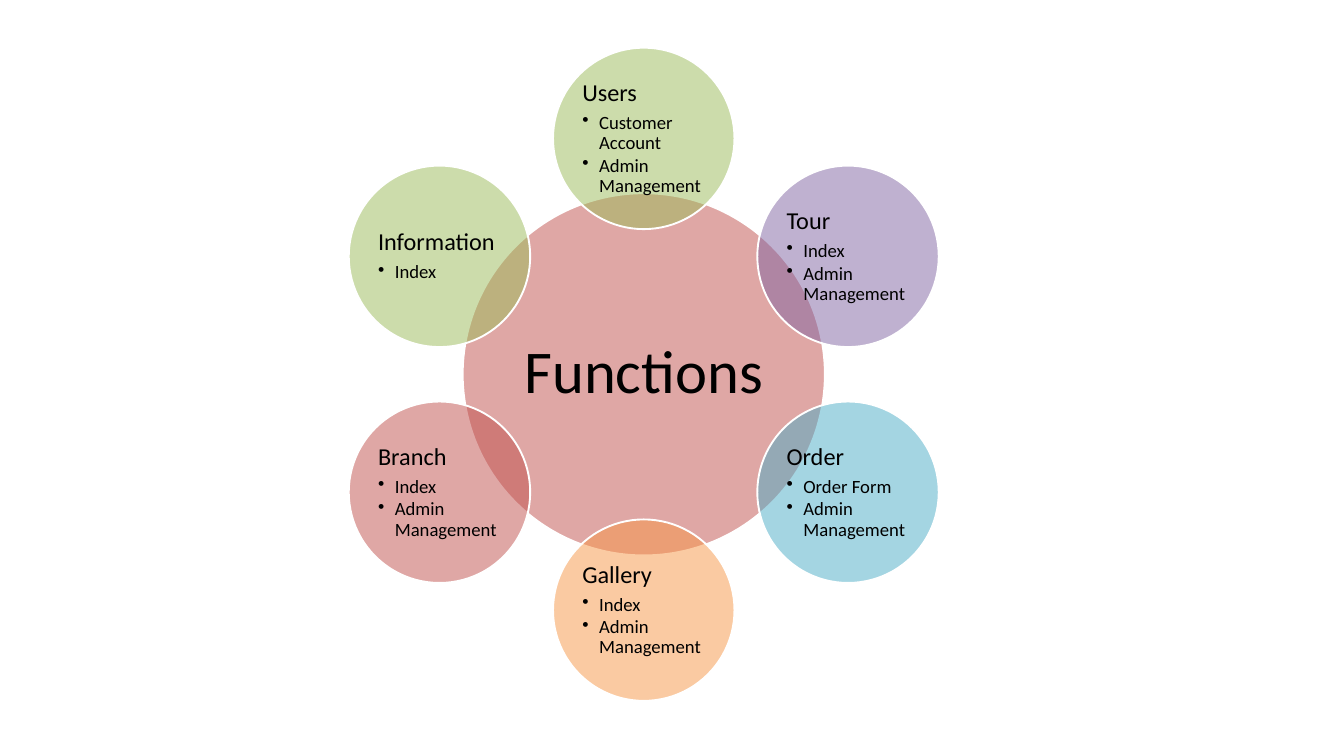
from math import cos, radians, sin

from lxml.etree import SubElement
from pptx import Presentation
from pptx.dml.color import RGBColor
from pptx.enum.shapes import MSO_SHAPE
from pptx.enum.text import MSO_ANCHOR, PP_ALIGN
from pptx.oxml.ns import qn
from pptx.util import Emu, Pt

SCALE = 9144  # EMU in one px, 100 px to the inch
WIDE, HIGH = 2000, 1125
HUB, NODE, RING = 539, 270, 351
ADMIN = "Admin Management"
NODES = [
    ("Users", "9BBB59", ["Customer Account", ADMIN]),
    ("Tour", "8064A2", ["Index", ADMIN]),
    ("Order", "4BACC6", ["Order Form", ADMIN]),
    ("Gallery", "F79646", ["Index", ADMIN]),
    ("Branch", "C0504D", ["Index", ADMIN]),
    ("Information", "9BBB59", ["Index"]),
]


def px(n):
    return Emu(round(n * SCALE))


def paint(color, code):
    color.rgb = RGBColor.from_string(code)


def fade(shape, share):
    """Make the solid fill of a shape see-through; share is its opacity in percent."""
    tint = shape.fill._xPr.find(qn("a:solidFill"))[0]
    SubElement(tint, qn("a:alpha")).set("val", str(share * 1000))


def bullet(para, indent):
    props = para._p.get_or_add_pPr()
    props.set("marL", str(px(indent)))
    props.set("indent", str(-px(indent)))
    SubElement(props, qn("a:buChar")).set("char", "•")


def write(para, text, size, after=0, align=PP_ALIGN.LEFT, indent=0):
    para.alignment = align
    para.line_spacing = 0.9
    para.space_after = Pt(after)
    if indent:
        para.level = 1
        bullet(para, indent)
    run = para.add_run()
    run.text = text
    run.font.name = "Calibri"
    run.font.size = Pt(size)
    paint(run.font.color, "000000")


def disc(slide, mid_x, mid_y, size, code, inset):
    """Add a translucent circle around a centre and return its text frame."""
    shape = slide.shapes.add_shape(
        MSO_SHAPE.OVAL, px(mid_x - size / 2), px(mid_y - size / 2), px(size), px(size))
    shape.shadow.inherit = False
    shape.fill.solid()
    paint(shape.fill.fore_color, code)
    fade(shape, 50)
    paint(shape.line.color, "FFFFFF")
    shape.line.width = Pt(2)
    frame = shape.text_frame
    frame.word_wrap = True
    frame.vertical_anchor = MSO_ANCHOR.MIDDLE
    frame.margin_left = frame.margin_right = px(inset)
    frame.margin_top = frame.margin_bottom = px(inset)
    return frame


def hub(slide, mid_x, mid_y):
    frame = disc(slide, mid_x, mid_y, HUB, "C0504D", 9)
    write(frame.paragraphs[0], "Functions", 65, align=PP_ALIGN.CENTER)


def node(slide, mid_x, mid_y, name, code, items):
    frame = disc(slide, mid_x, mid_y, NODE, code, 4)
    write(frame.paragraphs[0], name, 26, after=7.3)
    for item in items:
        write(frame.add_paragraph(), item, 20, after=2.4, indent=25)


def wheel(slide, mid_x, mid_y):
    """Place the hub, then the nodes clockwise from the top."""
    hub(slide, mid_x, mid_y)
    for i, (name, code, items) in enumerate(NODES):
        turn = radians(360 / len(NODES) * i)
        node(slide, mid_x + RING * sin(turn), mid_y - RING * cos(turn), name, code, items)


def main():
    deck = Presentation()
    deck.slide_width, deck.slide_height = px(WIDE), px(HIGH)
    slide = deck.slides.add_slide(deck.slide_layouts[6])
    wheel(slide, 958, 557)
    deck.save("out.pptx")


if __name__ == "__main__":
    main()
